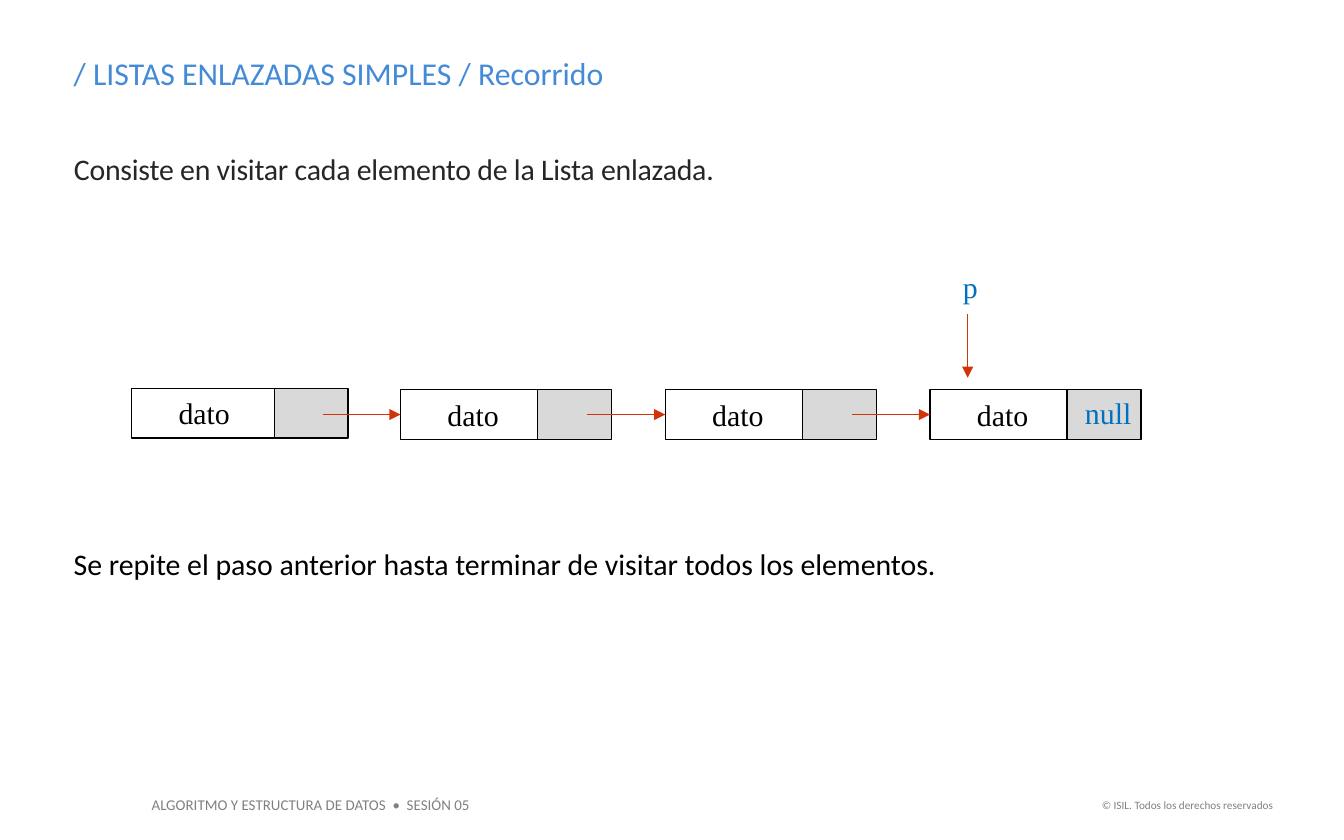
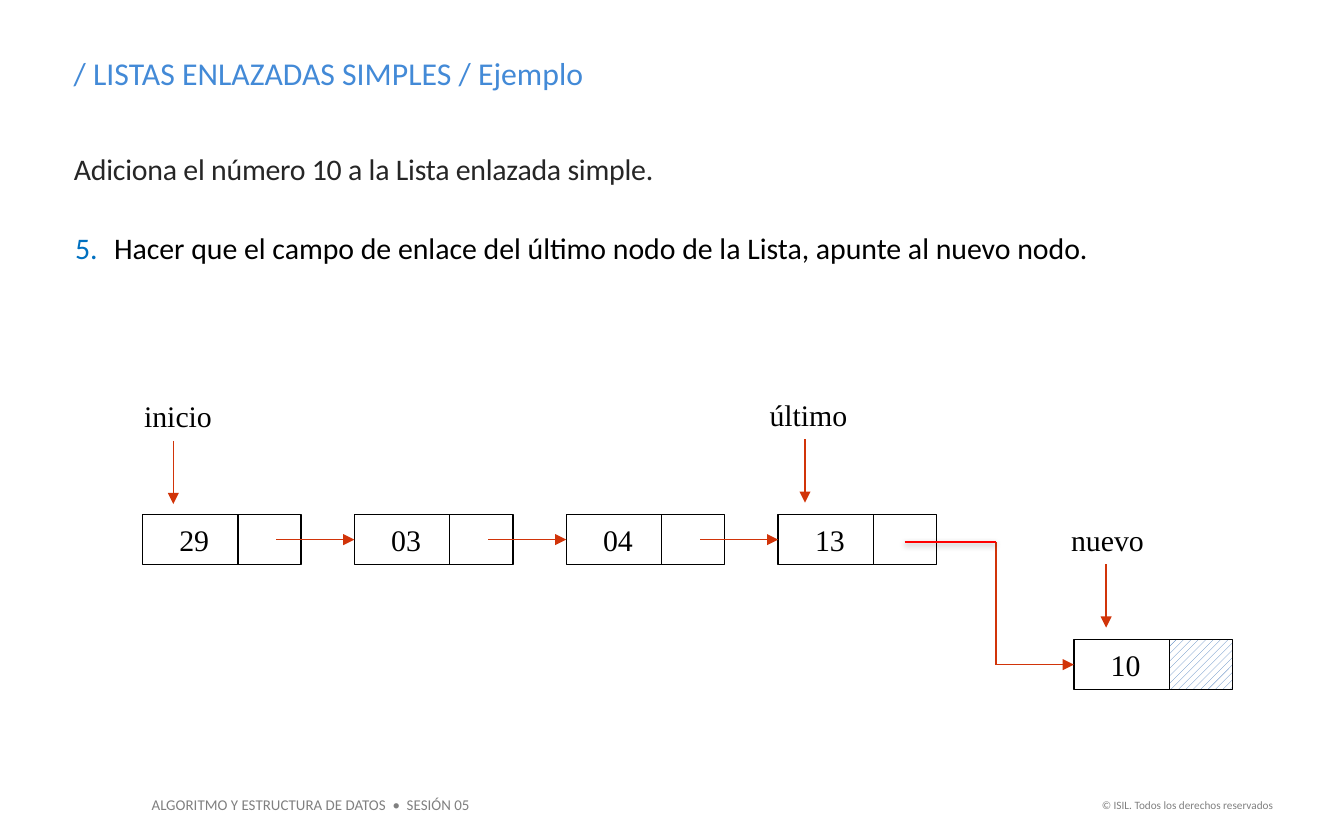
from pptx import Presentation
from pptx.dml.color import RGBColor
from pptx.enum.dml import MSO_PATTERN
from pptx.enum.shapes import MSO_CONNECTOR, MSO_SHAPE
from pptx.enum.text import MSO_ANCHOR, MSO_AUTO_SIZE, PP_ALIGN
from pptx.oxml import parse_xml
from pptx.oxml.ns import nsdecls
from pptx.util import Inches, Pt

COLORS = {
    "title": "438AD7", "intro": "262626", "text": "000000", "accent": "0070C0",
    "arrow": "D13409", "join": "FF0000", "footer": "808080",
    "grey": "D9D9D9", "white": "FFFFFF", "hatch": "4F81BD",
}
SANS, SERIF = "Calibri", "Times New Roman"
NODE_H = 0.37
SHADOW = ('<a:outerShdw blurRad="40000" dist="20000" dir="5400000" rotWithShape="0">'
          '<a:srgbClr val="000000"><a:alpha val="38000"/></a:srgbClr></a:outerShdw>')


def rgb(name):
    return RGBColor.from_string(COLORS[name])


def xml(tag, attrs="", inner=""):
    return parse_xml(f'<a:{tag} {nsdecls("a")} {attrs}>{inner}</a:{tag}>')


class Deck:
    """Holds the style and the current slide."""

    def __init__(self):
        self.prs = Presentation()
        self.prs.slide_width, self.prs.slide_height = Inches(10), Inches(6.25)
        self.s = None

    def slide(self, topic, intro):
        self.s = self.prs.slides.add_slide(self.prs.slide_layouts[6])
        # Footers
        self.text((1.03, 5.87, 2.58, 0.24), "ALGORITMO Y ESTRUCTURA DE DATOS  •  SESIÓN 05",
                  8, "footer", wrap=False)
        self.text((8.07, 5.89, 1.5, 0.2), "© ISIL. Todos los derechos reservados",
                  6, "footer", wrap=False, align=PP_ALIGN.RIGHT)
        # Title and introduction
        self.text((0.45, 0.35, 7.88, 0.39), f"/ LISTAS ENLAZADAS SIMPLES / {topic}", 17, "title")
        p = self.text((0.54, 0.99, 7.78, 0.4), intro, 16, "intro", spacing=1.5, inset=0)
        p._p.get_or_add_pPr().set("marL", str(Inches(0.01)))
        p.runs[0]._r.get_or_add_rPr().set("spc", "-10")

    def fill_text(self, tf, text, size, color, font=SANS, align=PP_ALIGN.LEFT,
                  spacing=None, wrap=True, inset=None):
        frame = {"word_wrap": wrap, "auto_size": MSO_AUTO_SIZE.SHAPE_TO_FIT_TEXT,
                 "vertical_anchor": MSO_ANCHOR.TOP}
        if inset is not None:
            for side in ("left", "top", "right", "bottom"):
                frame[f"margin_{side}"] = Inches(inset)
        p = tf.paragraphs[0]
        r = p.add_run()
        r.text = text
        r.font.color.rgb = rgb(color)
        for target, values in ((tf, frame), (p, {"alignment": align, "line_spacing": spacing}),
                               (r.font, {"size": Pt(size), "name": font})):
            for name, value in values.items():
                setattr(target, name, value)
        return p

    def text(self, box, text, size, color, **fmt):
        sp = self.s.shapes.add_textbox(*map(Inches, box))
        return self.fill_text(sp.text_frame, text, size, color, **fmt)

    def label(self, box, text, color="text"):
        self.text(box, text, 16, color, font=SERIF, align=PP_ALIGN.CENTER)

    def numbered(self, box, number, text):
        pPr = self.text(box, text, 16, "text", spacing=1.5)._p.get_or_add_pPr()
        pPr.set("marL", str(Inches(0.29)))
        pPr.set("indent", str(Inches(-0.29)))
        pPr.append(xml("buClr", inner=f'<a:srgbClr val="{COLORS["accent"]}"/>'))
        pPr.append(xml("buAutoNum", f'type="arabicPeriod" startAt="{number}"'))

    def rect(self, box, fill=None):
        sp = self.s.shapes.add_shape(MSO_SHAPE.RECTANGLE, *map(Inches, box))
        sp.shadow.inherit = False
        sp.line.color.rgb, sp.line.width = rgb("text"), Pt(0.75)
        if fill == "hatch":
            sp.fill.patterned()
            sp.fill.pattern = MSO_PATTERN.WIDE_UPWARD_DIAGONAL
            sp.fill.fore_color.rgb, sp.fill.back_color.rgb = rgb("hatch"), rgb("white")
        elif fill:
            sp.fill.solid()
            sp.fill.fore_color.rgb = rgb(fill)
        else:
            sp.fill.background()
        return sp

    def node(self, x, y, data, data_w, link_x, link_w, fill):
        """Data cell plus link cell; returns the data cell."""
        sp = self.rect((x, y, data_w, NODE_H))
        self.fill_text(sp.text_frame, data, 16, "text", font=SERIF, align=PP_ALIGN.CENTER)
        self.rect((x + link_x, y, link_w, NODE_H), fill)
        return sp

    def line(self, start, end, color="arrow", width=0.75, head=True, effect=""):
        c = self.s.shapes.add_connector(MSO_CONNECTOR.STRAIGHT, *map(Inches, start + end))
        c.line.color.rgb, c.line.width = rgb(color), Pt(width)
        if head:
            c.line._get_or_add_ln().append(xml("tailEnd", 'type="triangle"'))
        c._element.spPr.append(xml("effectLst", inner=effect))
        return c

    def link(self, target, length=0.58):
        """Arrow into the middle of the left side of a node."""
        x, y = target.left.inches, target.top.inches + NODE_H / 2
        self.line((x - length, y), (x, y)).end_connect(target, 1)

    def pointer(self, x, y):
        self.line((x, y), (x, y + 0.47))


def traversal(deck):
    deck.slide("Recorrido", "Consiste en visitar cada elemento de la Lista enlazada.")
    # Linked list: the first link cell sits slightly further right
    nodes = [deck.node(0.98, 2.89, "dato", 1.08, 1.06, 0.55, "grey")]
    nodes += [deck.node(2.98 + 1.97 * i, 2.9, "dato", 1.08, 1.02, 0.55, "grey")
              for i in range(3)]
    for node in nodes[1:]:
        deck.link(node)
    deck.label((7.94, 2.89, 0.61, NODE_H), "null", "accent")
    # Current position
    deck.label((6.94, 1.95, 0.56, NODE_H), "p", "accent")
    deck.pointer(7.2, 2.34)
    deck.text((0.45, 3.88, 8.1, 0.5),
              "Se repite el paso anterior hasta terminar de visitar todos los elementos.",
              16, "text", spacing=1.5)


def append_example(deck):
    deck.slide("Ejemplo", "Adiciona el número 10 a la Lista enlazada simple.")
    deck.numbered((0.46, 1.53, 8.45, 0.5), 5,
                  "Hacer que el campo de enlace del último nodo de la Lista, "
                  "apunte al nuevo nodo.")
    # Linked list
    first, last, row = 1.06, 5.79, 3.83
    cells = (0.77, 0.71, 0.47)
    nodes = [deck.node(first + (last - first) * i / 3, row, data, *cells, "white")
             for i, data in enumerate(("29", "03", "04", "13"))]
    for node in nodes[1:]:
        deck.link(node)
    # New node, joined to the last one by a bent path
    new_x, new_y, bend = 7.99, 4.76, 7.41
    new = deck.node(new_x, new_y, "10", *cells, "hatch")
    deck.line((bend, 4.03), (bend, new_y + NODE_H / 2), head=False)
    deck.link(new, new_x - bend)
    deck.line((6.73, 4.03), (bend, 4.03), "join", 1, head=False, effect=SHADOW)
    # Named references
    for text, x, y, w, arrow_x in (("inicio", 0.94, 2.91, 0.77, 1.29),
                                   ("último", 5.57, 2.9, 0.89, 5.99),
                                   ("nuevo", 7.85, 3.83, 0.78, 8.23)):
        deck.label((x, y, w, NODE_H), text)
        deck.pointer(arrow_x, y + NODE_H)


def main():
    deck = Deck()
    traversal(deck)
    append_example(deck)
    deck.prs.save("out.pptx")


if __name__ == "__main__":
    main()
